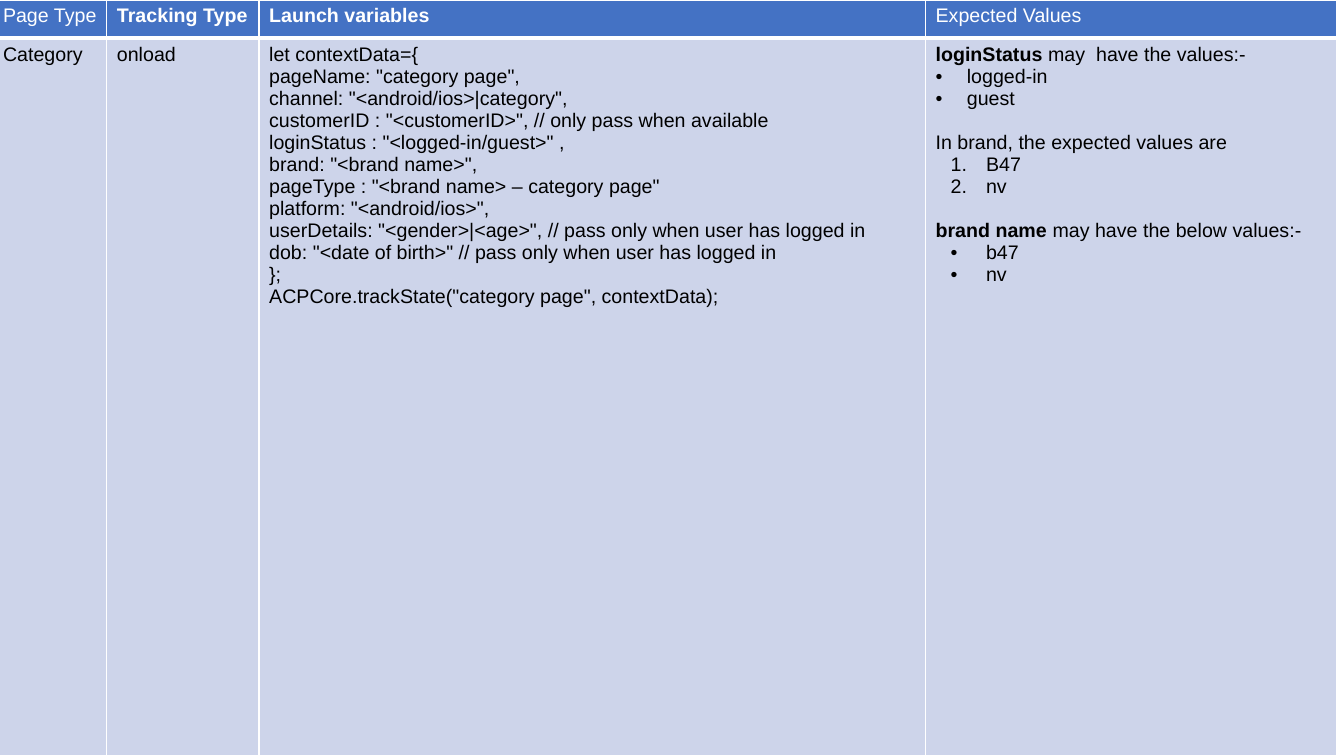
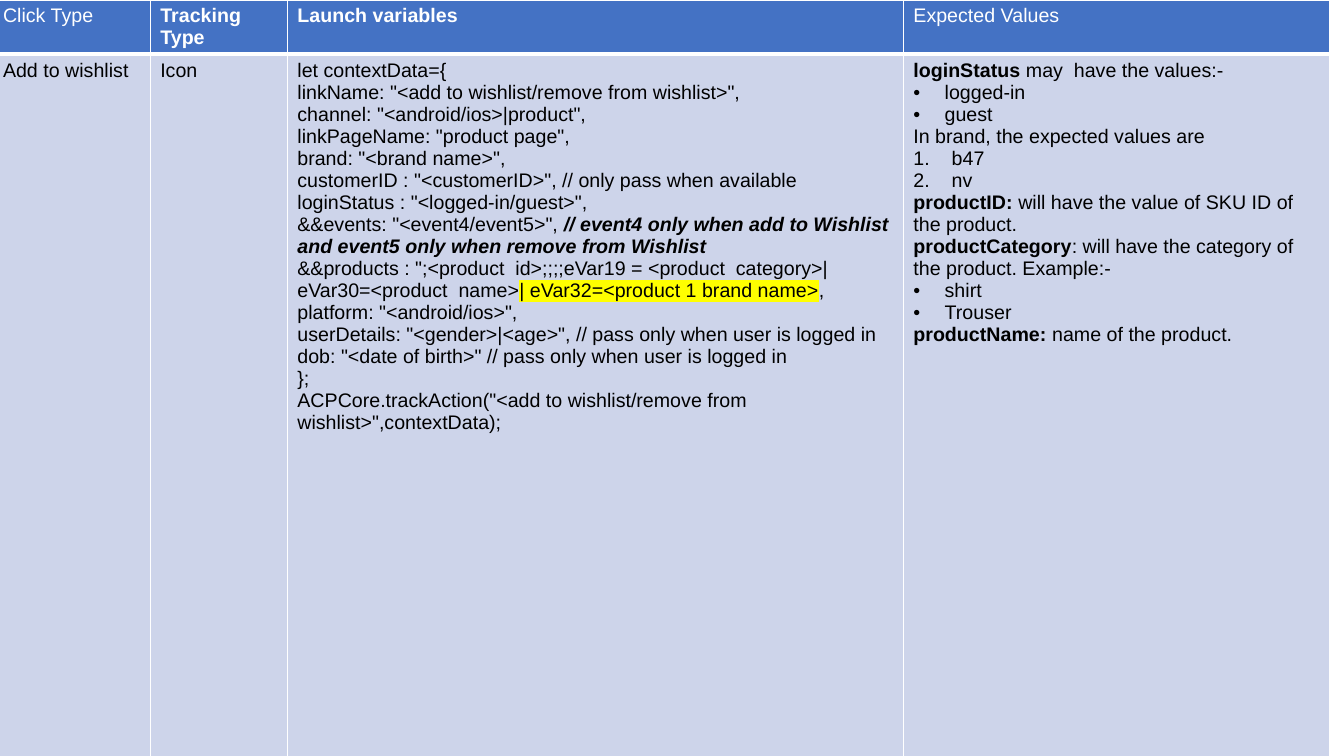
"""Build two slides of analytics tracking tables."""
from dataclasses import dataclass

from lxml import etree
from pptx import Presentation
from pptx.dml.color import RGBColor
from pptx.oxml.ns import qn
from pptx.util import Inches, Pt

BLANK_LAYOUT = 6


@dataclass(frozen=True)
class Theme:
    font: str = "Arial"
    size: float = 14
    header_fill: str = "4472C4"
    body_fill: str = "CDD4EA"
    header_text: str = "FFFFFF"
    body_text: str = "000000"
    border: str = "FFFFFF"
    highlight: str = "FFFF00"
    thin: float = 1
    thick: float = 3
    section_gap: float = 15.7


@dataclass(frozen=True)
class Para:
    runs: tuple
    marker: str = ""
    indent: float = 0
    hanging: float = 0
    gap: bool = False


THEME = Theme()
BOLD, BOLD_ITALIC, MARKED = "b", "bi", "h"
BULLET, NUMBER = "•", "1."


def text(*runs, gap=False):
    """Return a plain paragraph of strings and (string, style) pairs."""
    return Para(runs, gap=gap)


def items(marker, indent, hanging, *labels):
    """Return list paragraphs that share one marker and indent."""
    return [Para((label,), marker, indent, hanging) for label in labels]


def lines(*labels):
    """Return one plain paragraph for each label."""
    return [text(label) for label in labels]


LOGIN_VALUES = [
    text(("loginStatus ", BOLD), "may  have the values:-"),
    *items(BULLET, 0.31, 0.31, "logged-in", "guest"),
]
BRAND_INTRO = "In brand, the expected values are"

TABLES = [
    {
        "columns": (1.13, 1.51, 6.61, 4.08),
        "first_header": "Page Type",
        "body": [
            lines("Category"),
            lines("onload"),
            lines(
                "let contextData={",
                'pageName: "category page",',
                'channel: "<android/ios>|category",',
                'customerID : "<customerID>", // only pass when available',
                'loginStatus : "<logged-in/guest>" ,',
                'brand: "<brand name>",',
                'pageType : "<brand name> – category page"',
                'platform: "<android/ios>",',
                'userDetails: "<gender>|<age>", // pass only when user has logged in',
                'dob: "<date of birth>" // pass only when user has logged in',
                "};",
                'ACPCore.trackState("category page", contextData);',
            ),
            [
                *LOGIN_VALUES,
                text(BRAND_INTRO, gap=True),
                *items(NUMBER, 0.5, 0.35, "B47", "nv"),
                text(("brand name ", BOLD), "may have the below values:-", gap=True),
                *items(BULLET, 0.5, 0.35, "b47", "nv"),
            ],
        ],
    },
    {
        "columns": (1.56, 1.36, 6.11, 4.23),
        "first_header": "Click Type",
        "body": [
            lines("Add to wishlist"),
            lines("Icon"),
            [
                *lines(
                    "let contextData={",
                    'linkName: "<add to wishlist/remove from wishlist>",',
                    'channel: "<android/ios>|product",',
                    'linkPageName: "product page",',
                    'brand: "<brand name>",',
                    'customerID : "<customerID>", // only pass when available',
                    'loginStatus : "<logged-in/guest>",',
                ),
                text('&&events: "<event4/event5>", ',
                     ("// event4 only when add to Wishlist and event5 only "
                      "when remove from Wishlist", BOLD_ITALIC)),
                text('&&products : ";<product  id>;;;;eVar19 = '
                     "<product  category>|eVar30=<product  name>",
                     ("| eVar32=<product 1 brand name>", MARKED), ","),
                *lines(
                    'platform: "<android/ios>",',
                    'userDetails: "<gender>|<age>", // pass only when user is logged in',
                    'dob: "<date of birth>" // pass only when user is logged in',
                    "};",
                    'ACPCore.trackAction("<add to wishlist/remove from '
                    'wishlist>",contextData);',
                ),
            ],
            [
                *LOGIN_VALUES,
                text(BRAND_INTRO),
                *items(NUMBER, 0.38, 0.38, "b47", "nv"),
                text(("productID:", BOLD),
                     " will have the value of SKU ID of the product."),
                text(("productCategory", BOLD),
                     ": will have the category of the product. Example:-"),
                *items(BULLET, 0.31, 0.31, "shirt", "Trouser"),
                text(("productName: ", BOLD), "name of the product."),
            ],
        ],
    },
]
SHARED_HEADERS = [
    [text(("Tracking Type", BOLD))],
    [text(("Launch variables", BOLD))],
    lines("Expected Values"),
]
TABLE_LEFT = -0.07
ROW_HEIGHTS = (0.38, 7.12)


def add_color(parent, tag, color):
    """Add a colour-holding element to a parent."""
    el = etree.SubElement(parent, qn(tag))
    etree.SubElement(el, qn("a:srgbClr"), val=color)
    return el


def add_marker(p, para):
    """Give a paragraph its hanging bullet or number."""
    pPr = p._p.get_or_add_pPr()
    pPr.set("marL", str(Inches(para.indent)))
    pPr.set("indent", str(-Inches(para.hanging)))
    add_color(pPr, "a:buClr", THEME.body_text)
    etree.SubElement(pPr, qn("a:buFont"), typeface=THEME.font)
    if para.marker == NUMBER:
        etree.SubElement(pPr, qn("a:buAutoNum"), type="arabicPeriod")
    else:
        etree.SubElement(pPr, qn("a:buChar"), char=para.marker)


def add_run(p, run, color):
    """Add one styled run to a paragraph."""
    label, style = (run, "") if isinstance(run, str) else run
    r = p.add_run()
    r.text = label
    font = r.font
    font.name, font.size = THEME.font, Pt(THEME.size)
    font.bold, font.italic = "b" in style, "i" in style
    font.color.rgb = RGBColor.from_string(color)
    if style == MARKED:
        rPr = r._r.get_or_add_rPr()
        mark = add_color(rPr, "a:highlight", THEME.highlight)
        rPr.find(qn("a:solidFill")).addnext(mark)


def fill_cell(cell, paras, is_header):
    """Write a cell's paragraphs, borders and fill."""
    color = THEME.header_text if is_header else THEME.body_text
    tf = cell.text_frame
    for i, para in enumerate(paras):
        p = tf.add_paragraph() if i else tf.paragraphs[0]
        if para.marker:
            add_marker(p, para)
        if para.gap:
            p.space_before = Pt(THEME.section_gap)
        for run in para.runs:
            add_run(p, run, color)
    thick_side = "a:lnB" if is_header else "a:lnT"
    tcPr = cell._tc.get_or_add_tcPr()
    for side in ("a:lnL", "a:lnR", "a:lnT", "a:lnB"):
        width = THEME.thick if side == thick_side else THEME.thin
        ln = etree.SubElement(tcPr, qn(side), w=str(Pt(width)))
        add_color(ln, "a:solidFill", THEME.border)
    cell.fill.solid()
    fill = THEME.header_fill if is_header else THEME.body_fill
    cell.fill.fore_color.rgb = RGBColor.from_string(fill)


def add_tracking_table(slide, data):
    """Add a header row and a body row of tracking details."""
    columns = data["columns"]
    rows = [[lines(data["first_header"]), *SHARED_HEADERS], data["body"]]
    table = slide.shapes.add_table(
        len(rows), len(columns), Inches(TABLE_LEFT), Inches(0),
        Inches(sum(columns)), Inches(sum(ROW_HEIGHTS))).table
    for column, width in zip(table.columns, columns):
        column.width = Inches(width)
    for i, (row, height) in enumerate(zip(table.rows, ROW_HEIGHTS)):
        row.height = Inches(height)
        for cell, paras in zip(row.cells, rows[i]):
            fill_cell(cell, paras, is_header=i == 0)


def main():
    """Build and save the presentation."""
    prs = Presentation()
    prs.slide_width, prs.slide_height = Inches(13.33), Inches(7.5)
    for data in TABLES:
        slide = prs.slides.add_slide(prs.slide_layouts[BLANK_LAYOUT])
        add_tracking_table(slide, data)
    prs.save("out.pptx")


if __name__ == "__main__":
    main()
